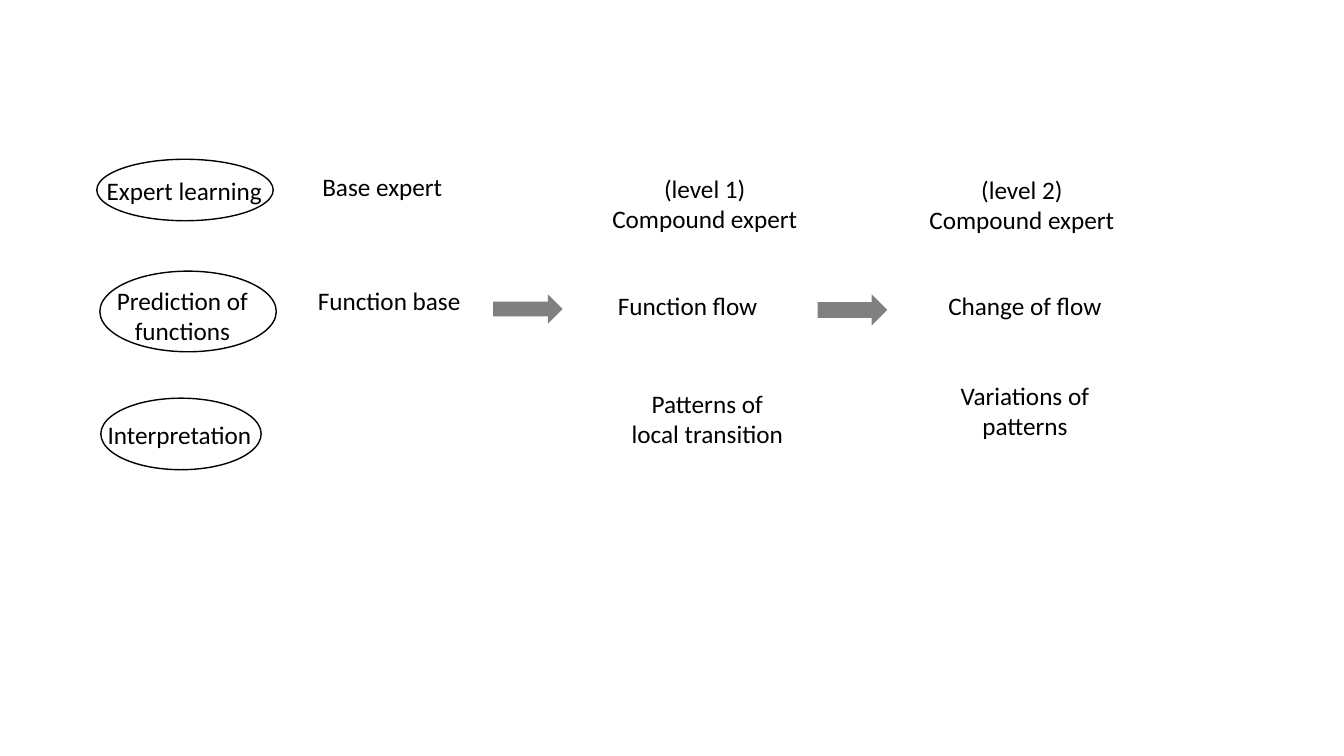
from pptx import Presentation
from pptx.dml.color import RGBColor
from pptx.enum.shapes import MSO_SHAPE
from pptx.enum.text import MSO_AUTO_SIZE, PP_ALIGN
from pptx.util import Inches, Pt

BLACK, GRAY = "000000", "808080"
FONT, FONT_SIZE = "Calibri", 18
LINE_HEIGHTS = {1: 0.42, 2: 0.71}

# Row headings: (text, left, top, width, lines)
WRAPPED_HEADINGS = [
    ("Prediction of functions", 0.96, 2.78, 1.7, 2),
    ("Interpretation", 0.93, 4.11, 1.7, 1),
]
UNWRAPPED_HEADING = ("Expert learning", 0.96, 1.69, 1.76, 1)

# Steps, column by column: (text, left, top, width, lines)
STEPS = [
    ("Base expert ", 2.97, 1.65, 1.7, 1),
    ("Function base", 2.88, 2.78, 1.96, 1),
    ("(level 1)\nCompound expert", 5.84, 1.67, 2.3, 2),
    ("Function flow", 5.84, 2.83, 1.96, 1),
    ("Patterns of local transition", 6.11, 3.8, 1.81, 2),
    ("(level 2)\nCompound expert", 8.95, 1.68, 2.37, 2),
    ("Change of flow", 9.05, 2.83, 2.23, 1),
    ("Variations of patterns", 9.24, 3.72, 1.85, 2),
]

# Left, top, width, height
ARROWS = [(4.89, 2.92, 0.69, 0.29), (8.11, 2.92, 0.69, 0.31)]
HEADING_RINGS = [
    (0.96, 1.58, 1.75, 0.61),
    (0.99, 2.69, 1.75, 0.8),
    (1, 3.95, 1.59, 0.71),
]


def color(hex_code):
    return RGBColor.from_string(hex_code)


def add_label(slide, label, align=PP_ALIGN.CENTER, wrap=True):
    text, left, top, width, lines = label
    box = slide.shapes.add_textbox(
        *map(Inches, (left, top, width, LINE_HEIGHTS[lines])))
    frame = box.text_frame
    frame.word_wrap = wrap
    frame.auto_size = MSO_AUTO_SIZE.SHAPE_TO_FIT_TEXT
    for index, line in enumerate(text.split("\n")):
        paragraph = frame.add_paragraph() if index else frame.paragraphs[0]
        paragraph.alignment = align
        run = paragraph.add_run()
        run.text = line
        run.font.name = FONT
        run.font.size = Pt(FONT_SIZE)
        run.font.color.rgb = color(BLACK)


def add_arrow(slide, bounds):
    arrow = slide.shapes.add_shape(MSO_SHAPE.RIGHT_ARROW, *map(Inches, bounds))
    arrow.shadow.inherit = False
    arrow.fill.solid()
    arrow.fill.fore_color.rgb = color(GRAY)
    arrow.line.fill.background()


def add_ring(slide, bounds):
    ring = slide.shapes.add_shape(MSO_SHAPE.OVAL, *map(Inches, bounds))
    ring.shadow.inherit = False
    ring.fill.background()
    ring.line.color.rgb = color(BLACK)
    ring.line.width = Pt(1)


def main():
    presentation = Presentation()
    presentation.slide_width = Inches(13.33)
    presentation.slide_height = Inches(7.5)
    slide = presentation.slides.add_slide(presentation.slide_layouts[6])

    for label in STEPS + WRAPPED_HEADINGS:
        add_label(slide, label)
    add_label(slide, UNWRAPPED_HEADING, PP_ALIGN.LEFT, wrap=False)
    for bounds in ARROWS:
        add_arrow(slide, bounds)
    for bounds in HEADING_RINGS:
        add_ring(slide, bounds)

    presentation.save("out.pptx")


if __name__ == "__main__":
    main()
